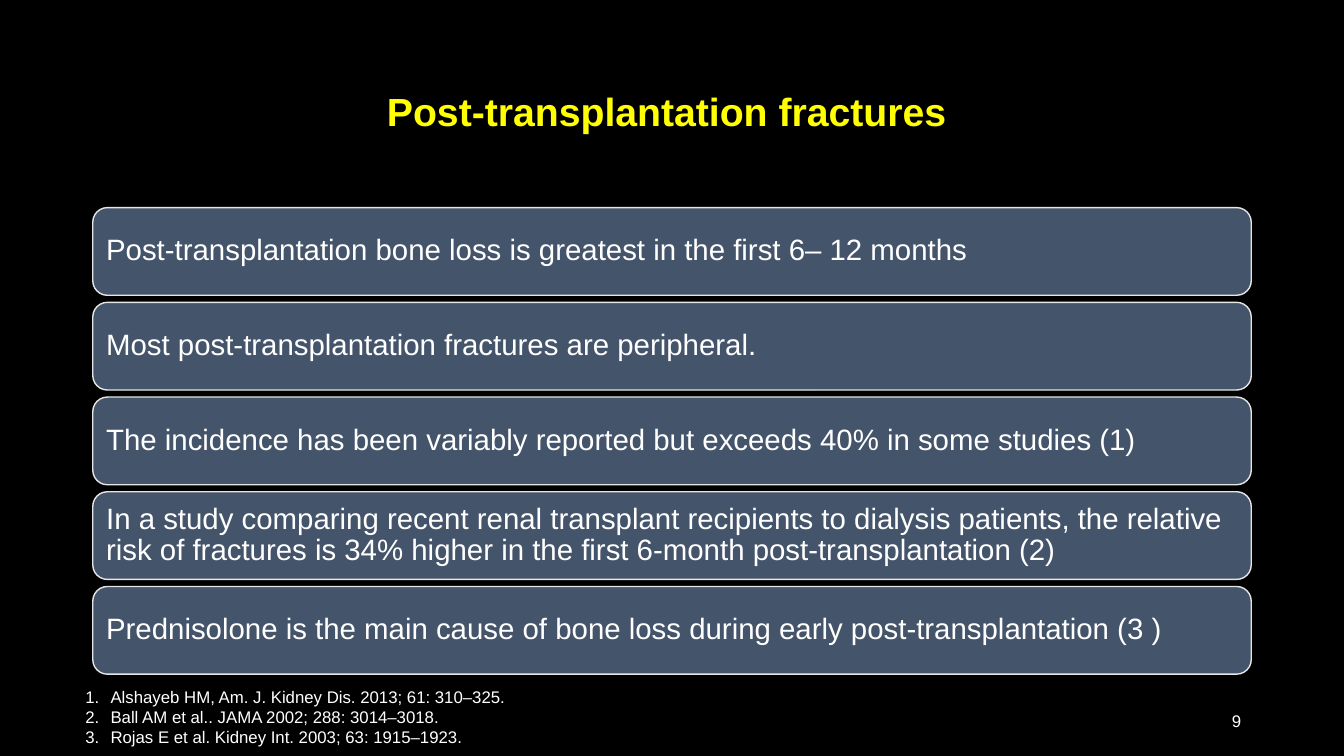
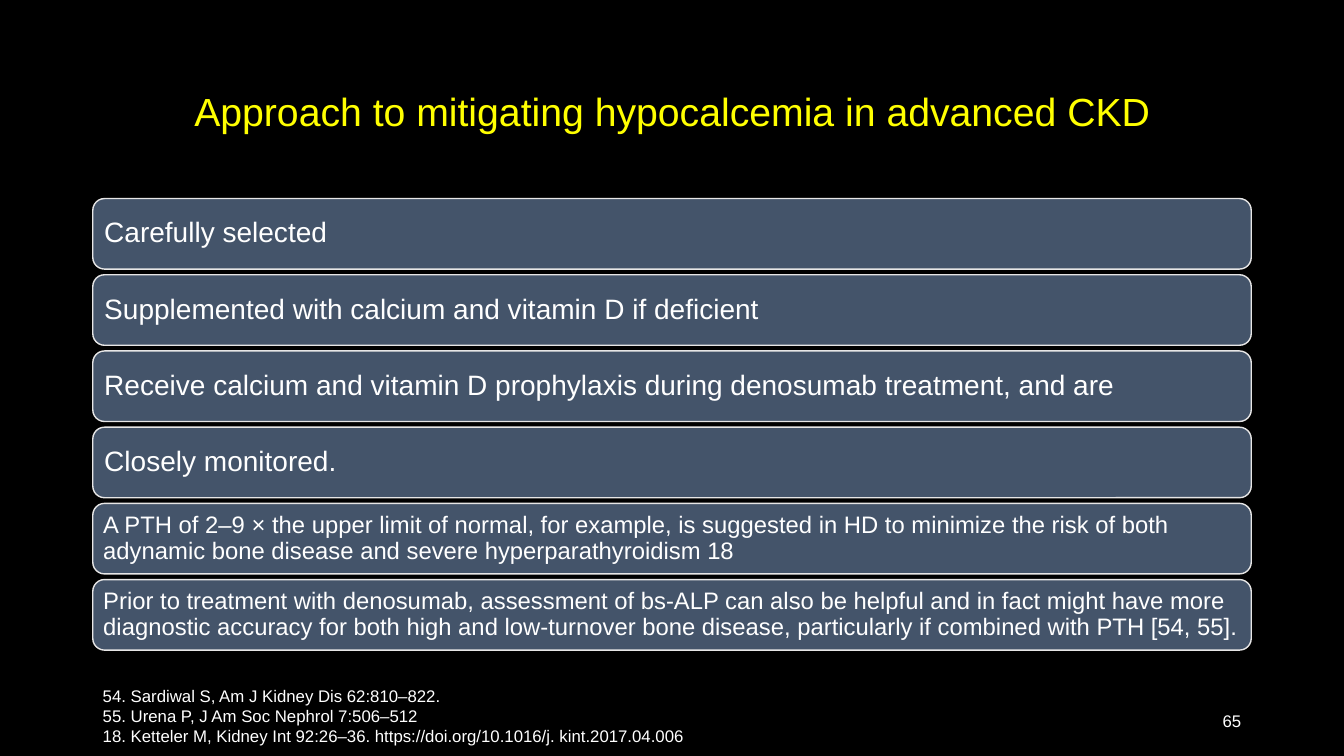
import pptx
import pptx.util
import pptx.dml.color
import pptx.enum.shapes
import pptx.enum.text
import pptx.oxml.ns
from lxml import etree

BLACK = pptx.dml.color.RGBColor(0x00, 0x00, 0x00)
WHITE = pptx.dml.color.RGBColor(0xFF, 0xFF, 0xFF)
YELLOW = pptx.dml.color.RGBColor(0xFF, 0xFF, 0x00)
SLATE = pptx.dml.color.RGBColor(0x44, 0x54, 0x6A)
PALE = pptx.dml.color.RGBColor(0xE7, 0xE6, 0xE6)

ALIGN = pptx.enum.text.PP_ALIGN
ANCHOR = pptx.enum.text.MSO_ANCHOR
WIDTH, HEIGHT, MARGIN = 13.33, 7.5, 0.92
COLS, ROWS = 12, 75
TITLE_ONLY = 5


class Deck:
    font = "Arial"
    bar_gap = 0.08

    def __init__(self):
        self.prs = pptx.Presentation()
        self.prs.slide_width = pptx.util.Inches(WIDTH)
        self.prs.slide_height = pptx.util.Inches(HEIGHT)
        self.s = None

    def place(self, col, row, cols, rows):
        cw, rh = (WIDTH - 2 * MARGIN) / COLS, HEIGHT / ROWS
        lengths = (MARGIN + col * cw, row * rh, cols * cw, rows * rh)
        return [pptx.util.Inches(v) for v in lengths]

    def put_text(self, sp, lines, size, color=WHITE, bold=False, inset=None,
                 anchor=ANCHOR.MIDDLE, align=ALIGN.LEFT, spacing=1.0, numbered=False):
        tf = sp.text_frame
        frame = {"word_wrap": True, "vertical_anchor": anchor,
                 "auto_size": pptx.enum.text.MSO_AUTO_SIZE.NONE}
        if inset is not None:
            for side in ("left", "right", "top", "bottom"):
                frame["margin_" + side] = pptx.util.Inches(inset)
        for name, value in frame.items():
            setattr(tf, name, value)
        for i, line in enumerate(lines):
            p = tf.paragraphs[0] if i == 0 else tf.add_paragraph()
            p.alignment, p.line_spacing = align, spacing
            if numbered:
                self.number(p)
            r = p.add_run()
            r.text = line
            look = {"name": self.font, "size": pptx.util.Pt(size), "bold": bold}
            for name, value in look.items():
                setattr(r.font, name, value)
            r.font.color.rgb = color

    def number(self, p):
        qn = pptx.oxml.ns.qn
        pPr = p._p.get_or_add_pPr()
        indent = pptx.util.Inches(0.25)
        pPr.set("marL", str(indent))
        pPr.set("indent", str(-indent))
        clr = etree.SubElement(pPr, qn("a:buClr"))
        etree.SubElement(clr, qn("a:srgbClr"), val=str(WHITE))
        etree.SubElement(pPr, qn("a:buFont"), typeface=self.font)
        etree.SubElement(pPr, qn("a:buAutoNum"), type="arabicPeriod")

    def slide(self, title, page, bold=False):
        self.s = self.prs.slides.add_slide(self.prs.slide_layouts[TITLE_ONLY])
        fill = self.s.background.fill
        fill.solid()
        fill.fore_color.rgb = BLACK
        sp = self.s.shapes.title
        sp.left, sp.top, sp.width, sp.height = self.place(0, 4, 12, 14.5)
        self.put_text(sp, [title], 28, YELLOW, bold, align=ALIGN.CENTER, spacing=0.9)
        self.text(8.87, 69.5, 3.13, 4, [str(page)], align=ALIGN.RIGHT)

    def text(self, col, row, cols, rows, lines, **style):
        sp = self.s.shapes.add_textbox(*self.place(col, row, cols, rows))
        self.put_text(sp, lines, 12, **style)

    def references(self, col, row, lines, numbered=False):
        self.text(col, row, 6.96, 7.1, lines, anchor=ANCHOR.TOP, numbered=numbered)

    def bars(self, top, height, items):
        step = height * (1 + self.bar_gap)
        for i, (line, size, inset) in enumerate(items):
            sp = self.s.shapes.add_shape(
                pptx.enum.shapes.MSO_SHAPE.ROUNDED_RECTANGLE,
                *self.place(0, top + i * step, COLS, height))
            sp.shadow.inherit = False
            sp.fill.solid()
            sp.fill.fore_color.rgb = SLATE
            sp.line.color.rgb = PALE
            sp.line.width = pptx.util.Pt(1)
            self.put_text(sp, [line], size, inset=inset, spacing=0.9)


def main():
    deck = Deck()

    deck.slide("Post-transplantation fractures ", 9, bold=True)
    findings = [
        "Post-transplantation bone loss is greatest in the first 6– 12 months",
        "Most post-transplantation fractures are peripheral.",
        "The incidence has been variably reported but exceeds 40% in some studies (1)",
        "In a study comparing recent renal transplant recipients to dialysis patients, "
        "the relative risk of fractures is 34% higher in the first 6-month "
        "post-transplantation (2)",
        "Prednisolone is the main cause of bone loss during early post-transplantation (3 )",
    ]
    deck.bars(20.6, 8.7, [(line, 21, 0.09) for line in findings])
    deck.references(-0.18, 67.6, [
        "Alshayeb HM, Am. J. Kidney Dis. 2013; 61: 310–325.",
        "Ball AM et al.. JAMA 2002; 288: 3014–3018.",
        "Rojas E et al. Kidney Int. 2003; 63: 1915–1923.",
    ], numbered=True)

    deck.slide("Approach to mitigating hypocalcemia in advanced CKD", 65)
    steps = [
        "Carefully selected",
        "Supplemented with calcium and vitamin D if deficient",
        "Receive calcium and vitamin D prophylaxis during denosumab treatment, and are",
        "Closely monitored.",
    ]
    details = [
        "A PTH of 2–9 × the upper limit of normal, for example, is suggested in HD to "
        "minimize the risk of both adynamic bone disease and severe hyperparathyroidism 18",
        "Prior to treatment with denosumab, assessment of bs-ALP can also be helpful and "
        "in fact might have more diagnostic accuracy for both high and low-turnover bone "
        "disease, particularly if combined with PTH [54, 55].",
    ]
    deck.bars(19.7, 7, [(line, 20, 0.08) for line in steps]
              + [(line, 17, 0.07) for line in details])
    deck.references(0, 67.5, [
        "54. Sardiwal S, Am J Kidney Dis 62:810–822.",
        "55. Urena P, J Am Soc Nephrol 7:506–512",
        "18. Ketteler M, Kidney Int 92:26–36. https://doi.org/10.1016/j. kint.2017.04.006",
    ])

    deck.prs.save("out.pptx")


if __name__ == "__main__":
    main()
